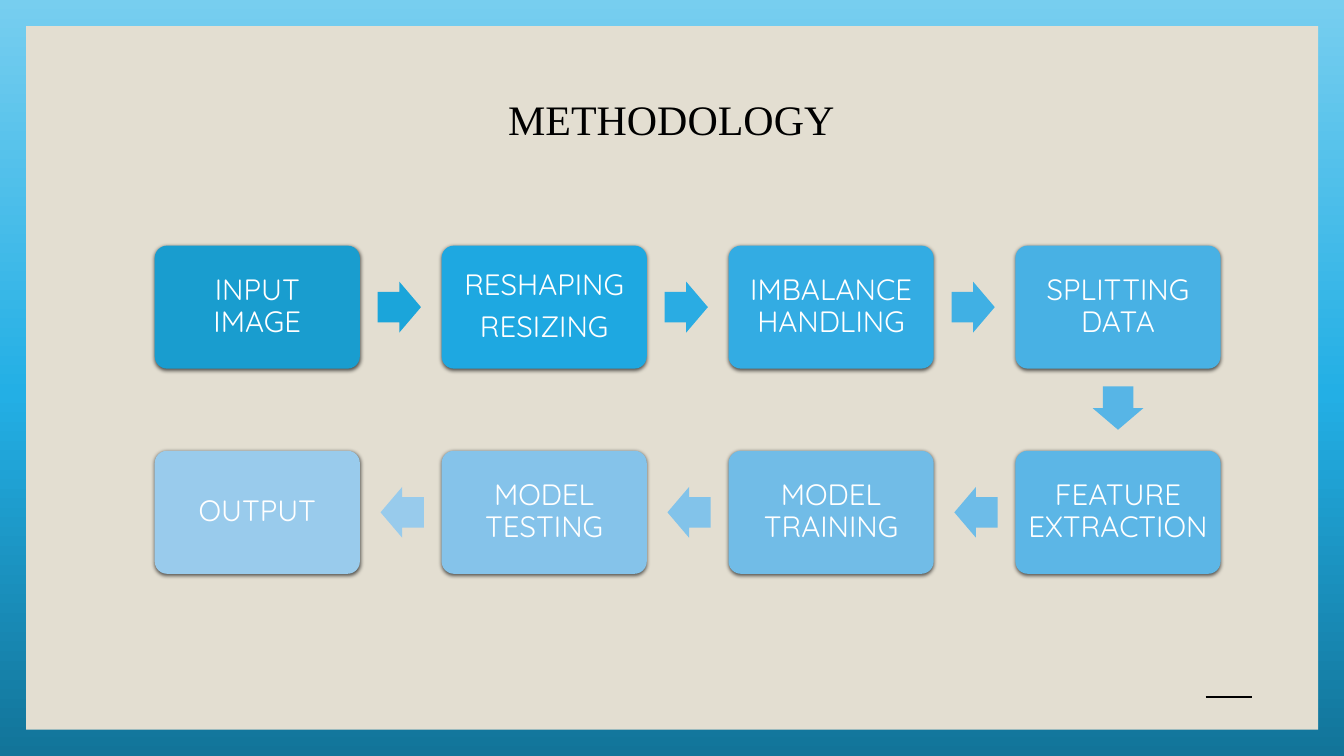
"""Build the methodology slide: an eight-step flow that runs right, down and back left."""
import copy

import lxml.etree
import pptx
import pptx.dml.color
import pptx.enum.shapes
import pptx.enum.text
import pptx.oxml
import pptx.util

Cm, Pt = pptx.util.Cm, pptx.util.Pt
SHAPE = pptx.enum.shapes.MSO_SHAPE
MIDDLE = pptx.enum.text.MSO_ANCHOR.MIDDLE
CENTER = pptx.enum.text.PP_ALIGN.CENTER
NS = "http://schemas.openxmlformats.org/drawingml/2006/main"
SHADOW = (f'<a:outerShdw xmlns:a="{NS}" blurRad="38100" dist="12700" dir="5400000" algn="ctr" rotWithShape="0">'
          '<a:srgbClr val="000000"><a:alpha val="63000"/></a:srgbClr></a:outerShdw>')


def rgb(value):
    return pptx.dml.color.RGBColor.from_string(value)


def write(tf, text, size, font, color, spacing=None, after=None):
    tf.word_wrap = True
    tf.auto_size = pptx.enum.text.MSO_AUTO_SIZE.NONE
    tf.vertical_anchor = MIDDLE
    tf.text = text
    for p in tf.paragraphs:
        p.alignment = CENTER
        p.line_spacing = spacing
        p.space_after = after
        for r in p.runs:
            r.font.size = Pt(size)
            r.font.name = font
            r.font.color.rgb = rgb(color)


prs = pptx.Presentation()
prs.slide_width, prs.slide_height = Cm(33.87), Cm(19.05)
s = prs.slides.add_slide(prs.slide_layouts[5])

fill = s.background.fill
fill.gradient()
fill.gradient_angle = 90
first = fill._fill._gradFill.gsLst[0]
first.addnext(copy.deepcopy(first))
for stop, (position, color) in zip(fill.gradient_stops, [(0, "127499"), (0.48, "23AFE5"), (1, "77CEEF")]):
    stop.position = position
    stop.color.rgb = rgb(color)

title = s.shapes.title
title.left, title.top, title.width, title.height = Cm(0.69), Cm(2.21), Cm(32.46), Cm(1.55)
write(title.text_frame, "METHODOLOGY", 30, "Times New Roman", "000000")

panel = s.shapes.add_shape(SHAPE.RECTANGLE, Cm(0.66), Cm(0.66), Cm(32.56), Cm(17.73))
panel.shadow.inherit = False
panel.fill.solid()
panel.fill.fore_color.rgb = rgb("E3DED1")
panel.line.fill.background()
title.element.addprevious(panel.element)

rule = s.shapes.add_connector(pptx.enum.shapes.MSO_CONNECTOR.STRAIGHT, Cm(30.38), Cm(17.57), Cm(31.55), Cm(17.57))
rule.line.color.rgb = rgb("000000")
rule.line.width = Pt(1.25)
lxml.etree.SubElement(rule.element.spPr, f"{{{NS}}}effectLst")

steps = [
    ("INPUT IMAGE", "199DCF", "1BA5DA"),
    ("RESHAPING\nRESIZING", "1EA8E1", "2AACE3"),
    ("IMBALANCE HANDLING", "33ACE3", "40B0E4"),
    ("SPLITTING DATA", "48B1E4", "57B5E6"),
    ("FEATURE EXTRACTION", "5CB6E6", "6DBCE8"),
    ("MODEL TRAINING", "71BCE7", "82C3EA"),
    ("MODEL TESTING", "85C3EA", "98CBEC"),
    ("OUTPUT", "99CBEC", None),
]
COLS = 4
LEFT, TOP, BOX_W, BOX_H = 3.9, 6.19, 5.17, 3.1
PITCH_X, PITCH_Y = 7.23, 5.17
ARROW_L, ARROW_H, GAP = 1.09, 1.28, 0.45

for i, (text, box_color, arrow_color) in enumerate(steps):
    row, col = divmod(i, COLS)
    if row:
        col = COLS - 1 - col
    x, y = LEFT + col * PITCH_X, TOP + row * PITCH_Y

    box = s.shapes.add_shape(SHAPE.ROUNDED_RECTANGLE, Cm(x), Cm(y), Cm(BOX_W), Cm(BOX_H))
    box.adjustments[0] = 0.1
    box.shadow.inherit = False
    box.fill.solid()
    box.fill.fore_color.rgb = rgb(box_color)
    box.line.fill.background()
    box.element.spPr.find(f"{{{NS}}}effectLst").append(pptx.oxml.parse_xml(SHADOW))
    tf = box.text_frame
    tf.margin_left = tf.margin_right = tf.margin_top = tf.margin_bottom = Cm(0.22)
    write(tf, text, 21, "Quicksand", "FFFFFF", spacing=0.9, after=Pt(7))

    if arrow_color is None:
        continue
    cx, cy = x + BOX_W / 2, y + BOX_H / 2
    reach = GAP + ARROW_L / 2
    if i == COLS - 1:
        angle, cy = 90, cy + BOX_H / 2 + reach
    elif row:
        angle, cx = 180, cx - BOX_W / 2 - reach
    else:
        angle, cx = 0, cx + BOX_W / 2 + reach
    arrow = s.shapes.add_shape(
        SHAPE.RIGHT_ARROW, Cm(cx - ARROW_L / 2), Cm(cy - ARROW_H / 2), Cm(ARROW_L), Cm(ARROW_H))
    arrow.rotation = angle
    arrow.adjustments[0], arrow.adjustments[1] = 0.6, 0.5
    arrow.shadow.inherit = False
    arrow.fill.solid()
    arrow.fill.fore_color.rgb = rgb(arrow_color)
    arrow.line.fill.background()

prs.save("out.pptx")
